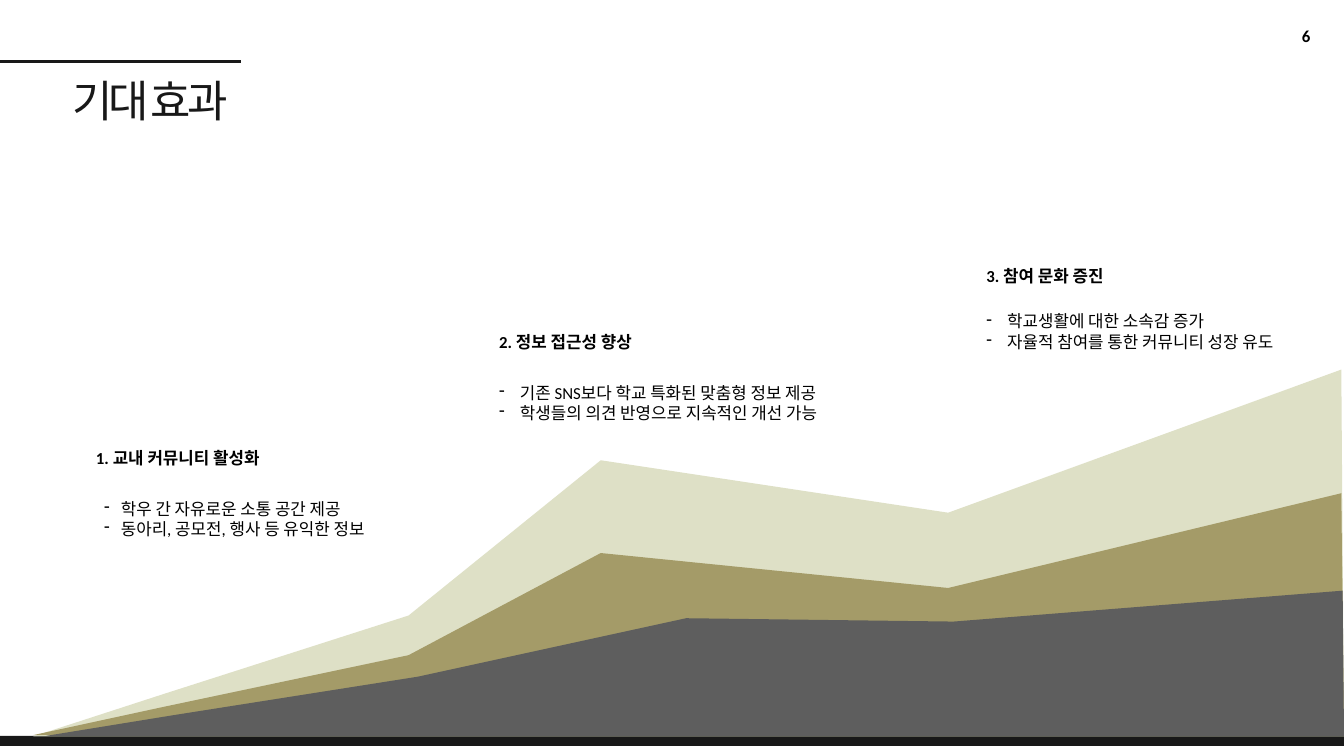
import pptx
import pptx.util
import pptx.dml.color
import pptx.enum.shapes
import pptx.enum.text
import lxml.etree
from pptx.util import Inches

# Theme: colours, fonts and type sizes
theme = {
    "ink": "181818", "text": "000000",
    "pale": "DEE0C6", "khaki": "A49B68", "gray": "5E5E5E",
    "latin": "Calibri", "hangul": "Noto Sans CJK KR",
    "body": 18, "title": 47,
}

deck = pptx.Presentation()
deck.slide_width, deck.slide_height = Inches(20), Inches(11.25)
slide = deck.slides.add_slide(deck.slide_layouts[6])
shapes = slide.shapes


def paint(shape, color):
    shape.shadow.inherit = False
    shape.fill.solid()
    shape.fill.fore_color.rgb = pptx.dml.color.RGBColor.from_string(theme[color])
    shape.line.fill.background()


def write(box, lines, size="body", face="latin", color="text", bold=False,
          mark=None, inset=(0.1, 0.05)):
    frame = shapes.add_textbox(*map(Inches, box)).text_frame
    frame.word_wrap = True
    frame.margin_left = frame.margin_right = Inches(inset[0])
    frame.margin_top = frame.margin_bottom = Inches(inset[1])
    for i, line in enumerate(lines):
        para = frame.paragraphs[0] if i == 0 else frame.add_paragraph()
        if mark:
            props = para._p.get_or_add_pPr()
            props.set("marL", str(Inches(mark)))
            props.set("indent", str(-Inches(mark)))
            bullet = lxml.etree.SubElement(props, pptx.oxml.ns.qn("a:buChar"))
            bullet.set("char", "-")
        run = para.add_run()
        run.text = line
        run.font.size = pptx.util.Pt(theme[size])
        run.font.bold = bold
        run.font.color.rgb = pptx.dml.color.RGBColor.from_string(theme[color])
        run.font.name = theme[face]
        east = lxml.etree.SubElement(run.font._element, pptx.oxml.ns.qn("a:ea"))
        east.set("typeface", theme["hangul"])
    return frame


# Bottom band
for top, height in ((10.95, 0.13), (11.06, 0.04)):
    band = shapes.add_shape(pptx.enum.shapes.MSO_SHAPE.RECTANGLE,
                            0, Inches(top), Inches(20), Inches(height))
    paint(band, "ink")

# Page number
page = write((14.9, 0.38, 4.6, 0.3), ["6"], bold=True, inset=(0, 0))
page.paragraphs[0].alignment = pptx.enum.text.PP_ALIGN.RIGHT

# Title and the rule above it
title = write((1.08, 1.08, 2.55, 0.81), ["기대 효과"], size="title",
              face="hangul", color="ink", inset=(0, 0.01))
title.paragraphs[0].runs[0].font._element.set("spc", "-440")
rule = shapes.add_connector(pptx.enum.shapes.MSO_CONNECTOR.STRAIGHT,
                            0, Inches(0.91), Inches(3.58), Inches(0.91))
rule.line.color.rgb = pptx.dml.color.RGBColor.from_string(theme["ink"])
rule.line.width = pptx.util.Pt(3)
lxml.etree.SubElement(rule._element.spPr, pptx.oxml.ns.qn("a:effectLst"))

# Rising layers, back to front: colour, left foot, base, ridge
layers = [
    ("pale", 0.49, 10.96,
     [(2.43, 10.33), (6.08, 9.16), (8.94, 6.85), (14.11, 7.63), (19.96, 5.5)]),
    ("khaki", 0.49, 10.94,
     [(2.43, 10.52), (6.08, 9.75), (8.94, 8.23), (14.11, 8.75), (19.96, 7.34)]),
    ("gray", 0.69, 10.95,
     [(2.6, 10.64), (6.22, 10.07), (10.21, 9.2), (14.19, 9.25), (19.98, 8.79)]),
]
for color, foot, base, ridge in layers:
    pen = shapes.build_freeform(Inches(foot), Inches(base))
    pen.add_line_segments([(Inches(x), Inches(y)) for x, y in ridge + [(20, base)]])
    paint(pen.convert_to_shape(), color)

# Effects: heading place, heading, list box, list indent, list lines
effects = [
    ((1.33, 6.62), "1. 교내 커뮤니티 활성화", (1.45, 7.37, 4.38, 1.01), 0.25,
     ["학우 간 자유로운 소통 공간 제공", "동아리, 공모전, 행사 등 유익한 정보"]),
    ((7.33, 4.88), "2. 정보 접근성 향상", (7.33, 5.64, 5.44, 0.71), 0.31,
     ["기존 SNS보다 학교 특화된 맞춤형 정보 제공",
      "학생들의 의견 반영으로 지속적인 개선 가능"]),
    ((14.58, 3.9), "3. 참여 문화 증진", (14.58, 4.58, 4.92, 0.71), 0.31,
     ["학교생활에 대한 소속감 증가", "자율적 참여를 통한 커뮤니티 성장 유도"]),
]
for place, head, box, mark, lines in effects:
    write((*place, 4.92, 0.4), [head], bold=True)
    write(box, lines, mark=mark)

deck.save("out.pptx")
